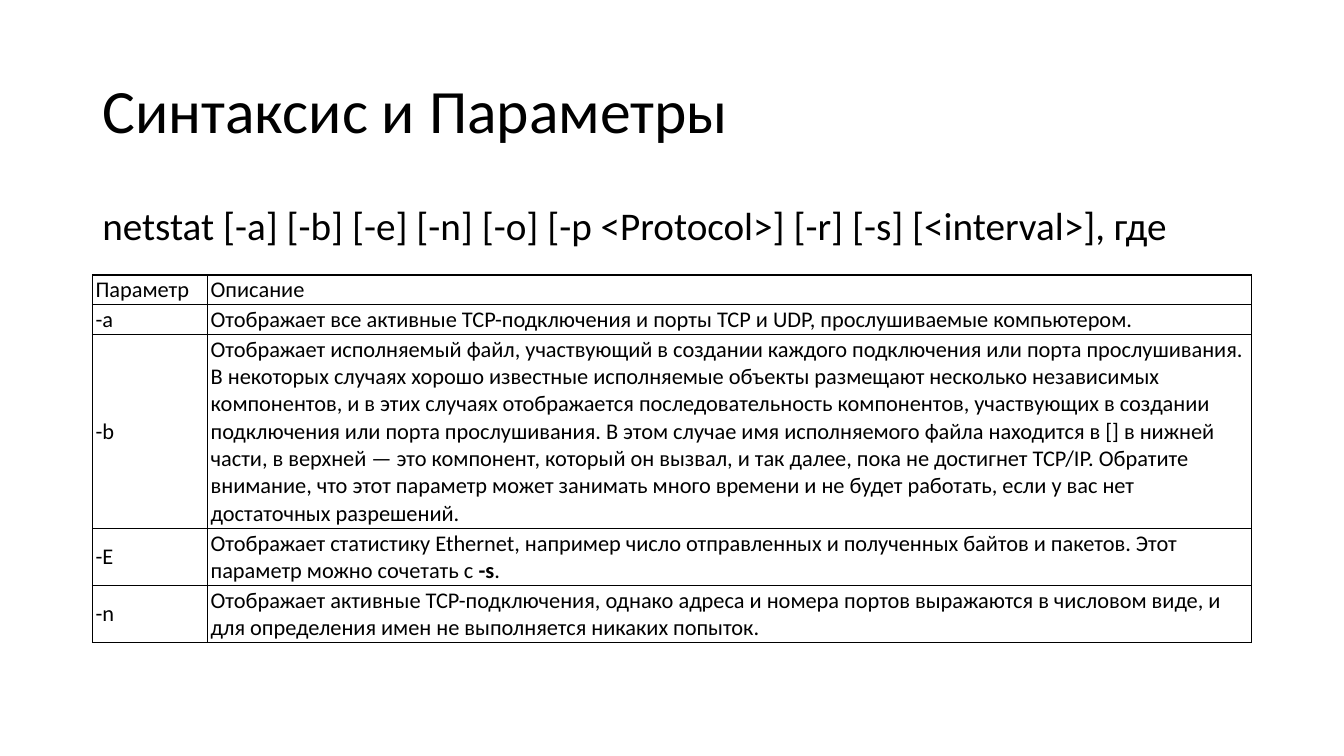
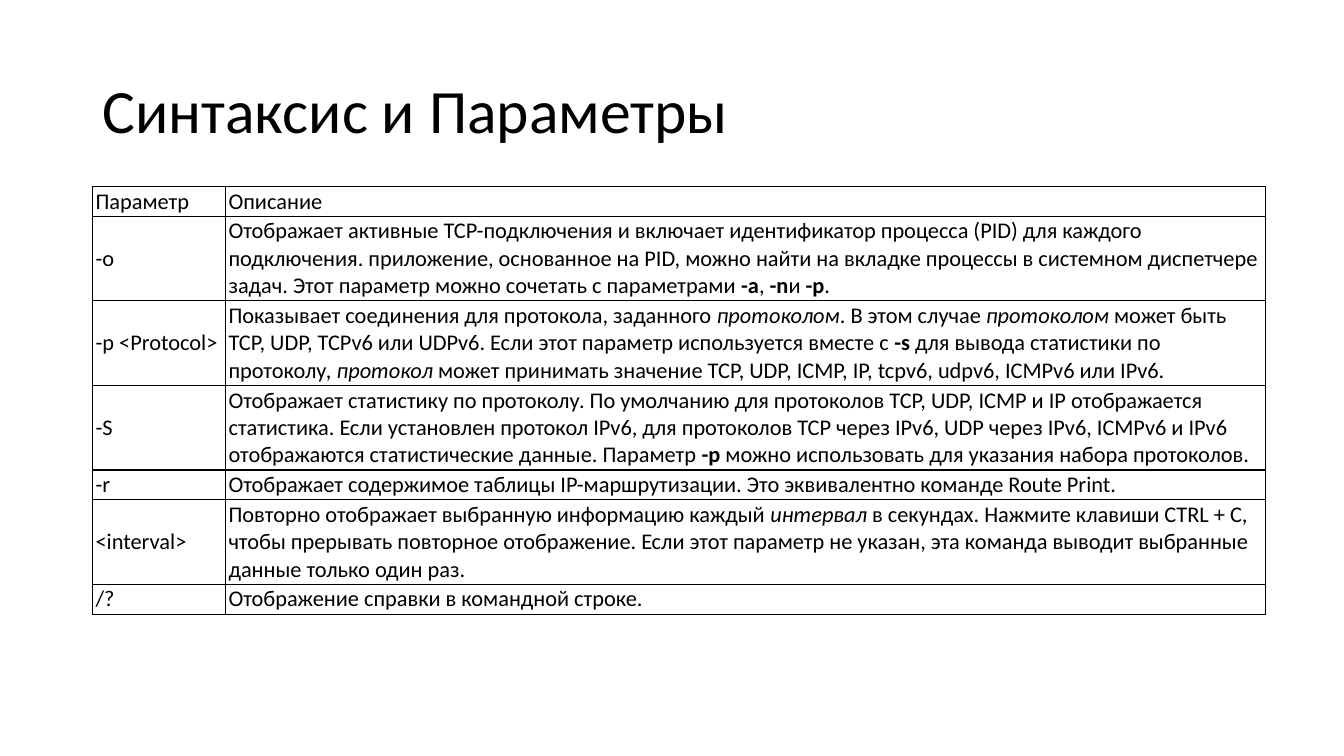
from lxml import etree
from pptx import Presentation
from pptx.dml.color import RGBColor
from pptx.enum.text import MSO_ANCHOR as ANCHOR, PP_ALIGN as ALIGN
from pptx.oxml.ns import qn
from pptx.util import Cm, Pt

BLACK = RGBColor(0x00, 0x00, 0x00)
FONT = "Calibri"
TITLE = "Синтаксис и Параметры"
LEFT, WIDTH = Cm(2.33), Cm(29.21)
LINE_H, ROW_PAD = 0.69, 0.06  # cm per text line, cm per row
CELL_FORMAT = {
    "margin_left": Cm(0.08), "margin_right": Cm(0.08),
    "margin_top": Cm(0.03), "margin_bottom": Cm(0.03),
    "vertical_anchor": ANCHOR.MIDDLE,
}


def write(p, text, size, **para_format):
    """Fill a paragraph; *...* marks bold and _..._ marks italic."""
    for name, value in para_format.items():
        setattr(p, name, value)
    for i, part in enumerate(text.split("*")):
        for j, piece in enumerate(part.split("_")):
            if not piece:
                continue
            r = p.add_run()
            r.text = piece
            font = {"name": FONT, "size": Pt(size), "bold": i % 2 == 1, "italic": j % 2 == 1}
            for name, value in font.items():
                setattr(r.font, name, value)
            r.font.color.rgb = BLACK


def add_borders(cell):
    tc_pr = cell._tc.get_or_add_tcPr()
    for side in ("a:lnL", "a:lnR", "a:lnT", "a:lnB"):
        ln = etree.SubElement(tc_pr, qn(side), w=str(Pt(1)))
        fill = etree.SubElement(ln, qn("a:solidFill"))
        etree.SubElement(fill, qn("a:srgbClr"), val=str(BLACK))


# Content: each row is parameter, description, number of text lines
HEADER = ("Параметр", "Описание", 1)
SLIDES = [
    {
        "syntax": "netstat [-a] [-b] [-e] [-n] [-o] [-p <Protocol>] [-r] [-s] [<interval>], где",
        "top": Cm(6.93),
        "cols": (Cm(2.9), Cm(26.31)),
        "rows": [
            ("-a", "Отображает все активные TCP-подключения и порты TCP и UDP, "
                   "прослушиваемые компьютером.", 1),
            ("-b", "Отображает исполняемый файл, участвующий в создании каждого подключения "
                   "или порта прослушивания. В некоторых случаях хорошо известные исполняемые "
                   "объекты размещают несколько независимых компонентов, и в этих случаях "
                   "отображается последовательность компонентов, участвующих в создании "
                   "подключения или порта прослушивания. В этом случае имя исполняемого файла "
                   "находится в [] в нижней части, в верхней — это компонент, который он вызвал, "
                   "и так далее, пока не достигнет TCP/IP. Обратите внимание, что этот параметр "
                   "может занимать много времени и не будет работать, если у вас нет "
                   "достаточных разрешений.", 7),
            ("-E", "Отображает статистику Ethernet, например число отправленных и полученных "
                   "байтов и пакетов. Этот параметр можно сочетать с *-s*.", 2),
            ("-n", "Отображает активные TCP-подключения, однако адреса и номера портов "
                   "выражаются в числовом виде, и для определения имен не выполняется "
                   "никаких попыток.", 2),
        ],
    },
    {
        "syntax": None,
        "top": Cm(4.7),
        "cols": (Cm(3.35), Cm(26.21)),
        "rows": [
            ("-o", "Отображает активные TCP-подключения и включает идентификатор процесса (PID) "
                   "для каждого подключения. приложение, основанное на PID, можно найти на "
                   "вкладке процессы в системном диспетчере задач. Этот параметр можно сочетать "
                   "с параметрами *-a*, *-n*и *-p*.", 3),
            ("-p <Protocol>", "Показывает соединения для протокола, заданного _протоколом_. "
                   "В этом случае _протоколом_ может быть TCP, UDP, TCPv6 или UDPv6. Если этот "
                   "параметр используется вместе с *-s* для вывода статистики по протоколу, "
                   "_протокол_ может принимать значение TCP, UDP, ICMP, IP, tcpv6, udpv6, "
                   "ICMPv6 или IPv6.", 3),
            ("-S", "Отображает статистику по протоколу. По умолчанию для протоколов TCP, UDP, "
                   "ICMP и IP отображается статистика. Если установлен протокол IPv6, для "
                   "протоколов TCP через IPv6, UDP через IPv6, ICMPv6 и IPv6 отображаются "
                   "статистические данные. Параметр *-p* можно использовать для указания "
                   "набора протоколов.", 3),
            ("-r", "Отображает содержимое таблицы IP-маршрутизации. Это эквивалентно команде "
                   "Route Print.", 1),
            ("<interval>", "Повторно отображает выбранную информацию каждый _интервал_ "
                   "в секундах. Нажмите клавиши CTRL + C, чтобы прерывать повторное "
                   "отображение. Если этот параметр не указан, эта команда выводит выбранные "
                   "данные только один раз.", 3),
            ("/?", "Отображение справки в командной строке.", 1),
        ],
    },
]

prs = Presentation()
prs.slide_width, prs.slide_height = Cm(33.87), Cm(19.05)

for content in SLIDES:
    s = prs.slides.add_slide(prs.slide_layouts[5])

    # Title
    sp = s.shapes.title
    sp.left, sp.top, sp.width, sp.height = LEFT, Cm(1.01), WIDTH, Cm(3.68)
    sp.text_frame.vertical_anchor = ANCHOR.MIDDLE
    write(sp.text_frame.paragraphs[0], TITLE, 44, alignment=ALIGN.LEFT, line_spacing=0.9)

    # Command syntax
    if content["syntax"]:
        sp = s.shapes.add_textbox(LEFT, Cm(5.08), WIDTH, Cm(1.4))
        sp.text_frame.word_wrap = True
        write(sp.text_frame.paragraphs[0], content["syntax"], 28, line_spacing=0.9)

    # Parameter table
    rows = [HEADER] + content["rows"]
    heights = [Cm(ROW_PAD + LINE_H * lines) for *_, lines in rows]
    table = s.shapes.add_table(len(rows), 2, LEFT, content["top"],
                               sum(content["cols"]), sum(heights)).table
    table.first_row = table.horz_banding = False
    for col, width in zip(table.columns, content["cols"]):
        col.width = width
    for row, height, texts in zip(table.rows, heights, rows):
        row.height = height
        for cell, text in zip(row.cells, texts):
            for name, value in CELL_FORMAT.items():
                setattr(cell, name, value)
            add_borders(cell)
            cell.fill.background()
            write(cell.text_frame.paragraphs[0], text, 16)

prs.save("out.pptx")
